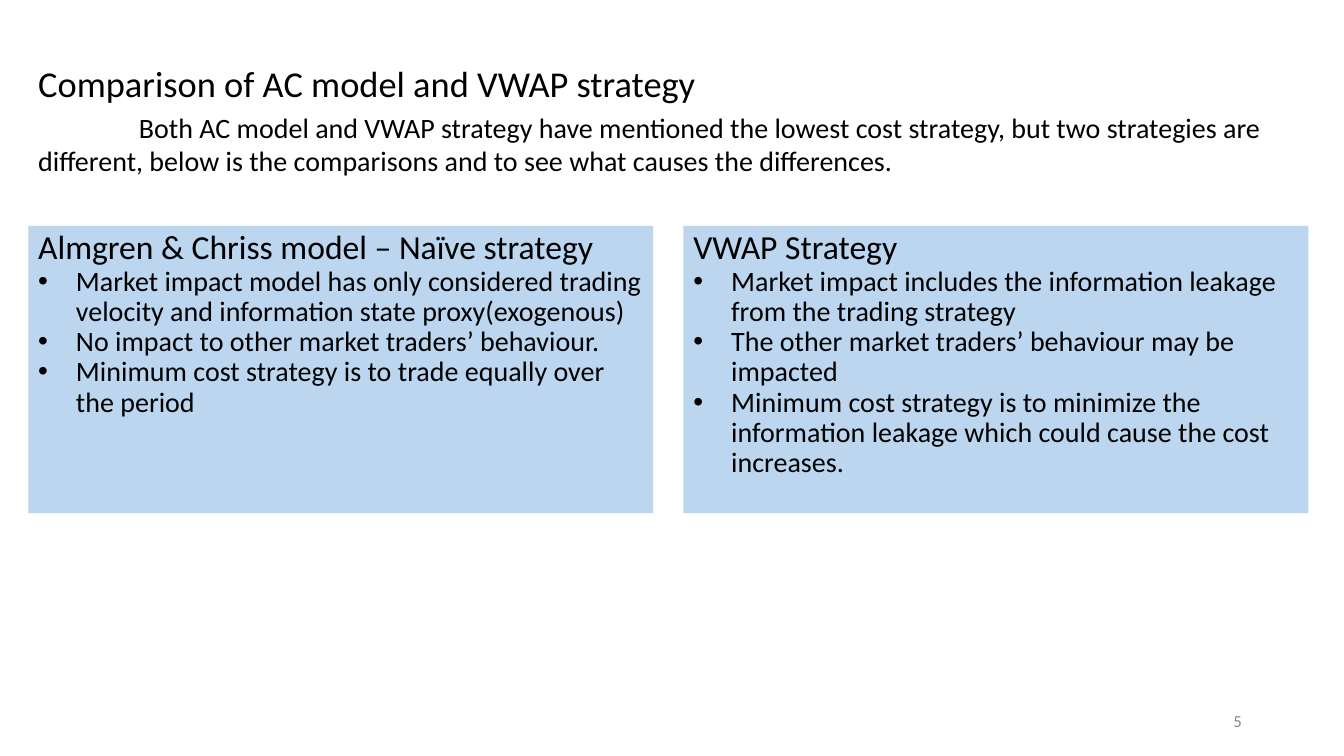
"""Build the slide comparing the AC model with the VWAP strategy."""
from dataclasses import dataclass

from lxml.etree import SubElement
from pptx import Presentation
from pptx.dml.color import RGBColor
from pptx.enum.shapes import MSO_SHAPE
from pptx.enum.text import MSO_ANCHOR, PP_ALIGN
from pptx.oxml.ns import qn
from pptx.util import Pt

BLACK = RGBColor(0x00, 0x00, 0x00)
GREY = RGBColor(0x88, 0x88, 0x88)
PALE_BLUE = RGBColor(0xBB, 0xD6, 0xEE)
FONT = "Calibri"
MARGIN = 20.2
PANEL_TOP, PANEL_WIDTH, PANEL_HEIGHT, PANEL_GAP = 161.3, 446.4, 205.2, 21.6
BULLET_INDENT = 27


@dataclass(frozen=True)
class Panel:
    heading: str
    points: tuple[str, ...]


PANELS = (
    Panel("Almgren & Chriss model – Naïve strategy", (
        "Market impact model has only considered trading velocity and information state proxy(exogenous)",
        "No impact to other market traders’ behaviour.",
        "Minimum cost strategy is to trade equally over the period",
    )),
    Panel("VWAP Strategy", (
        "Market impact includes the information leakage from the trading strategy",
        "The other market traders’ behaviour may be impacted",
        "Minimum cost strategy is to minimize the information leakage which could cause the cost increases.",
    )),
)


def write(paragraph, text: str, size: float, color: RGBColor = BLACK, spacing: float = 0.9) -> None:
    paragraph.line_spacing = spacing
    run = paragraph.add_run()
    run.text = text
    run.font.name = FONT
    run.font.size = Pt(size)
    run.font.color.rgb = color


def indent(paragraph, left: float, first_line: float) -> None:
    properties = paragraph._p.get_or_add_pPr()
    properties.set("marL", str(Pt(left)))
    properties.set("indent", str(Pt(first_line)))


def add_bullet(paragraph) -> None:
    indent(paragraph, BULLET_INDENT, -BULLET_INDENT)
    properties = paragraph._p.get_or_add_pPr()
    SubElement(properties, qn("a:buFont"), typeface="Arial")
    SubElement(properties, qn("a:buChar"), char="•")


def add_text_frame(slide, left: float, top: float, width: float, height: float):
    text_box = slide.shapes.add_textbox(Pt(left), Pt(top), Pt(width), Pt(height))
    text_box.text_frame.word_wrap = True
    return text_box.text_frame


def add_panel(slide, panel: Panel, left: float) -> None:
    shape = slide.shapes.add_shape(
        MSO_SHAPE.RECTANGLE, Pt(left), Pt(PANEL_TOP), Pt(PANEL_WIDTH), Pt(PANEL_HEIGHT))
    shape.shadow.inherit = False
    shape.fill.solid()
    shape.fill.fore_color.rgb = PALE_BLUE
    shape.line.fill.background()
    frame = shape.text_frame
    frame.word_wrap = True
    frame.vertical_anchor = MSO_ANCHOR.TOP
    heading = frame.paragraphs[0]
    heading.alignment = PP_ALIGN.LEFT
    write(heading, panel.heading, 24)
    for point in panel.points:
        paragraph = frame.add_paragraph()
        paragraph.alignment = PP_ALIGN.LEFT
        add_bullet(paragraph)
        write(paragraph, point, 20)


def add_introduction(slide) -> None:
    frame = add_text_frame(slide, MARGIN, 43.9, 902.9, 36.7)
    write(frame.paragraphs[0], "Comparison of AC model and VWAP strategy", 26)
    paragraph = frame.add_paragraph()
    indent(paragraph, 0, 72)
    paragraph.space_before = Pt(5)
    write(paragraph, "Both AC model and VWAP strategy have mentioned the lowest cost strategy, "
          "but two strategies are different, below is the comparisons and to see what "
          "causes the differences.", 20, spacing=0.97)


def add_page_number(slide) -> None:
    frame = add_text_frame(slide, 678.2, 500.4, 216, 28.8)
    frame.vertical_anchor = MSO_ANCHOR.MIDDLE
    paragraph = frame.paragraphs[0]
    paragraph.alignment = PP_ALIGN.RIGHT
    write(paragraph, "5", 12, GREY, 1.0)


def main() -> None:
    presentation = Presentation()
    presentation.slide_width, presentation.slide_height = Pt(960), Pt(540)
    slide = presentation.slides.add_slide(presentation.slide_layouts[6])
    add_introduction(slide)
    for index, panel in enumerate(PANELS):
        add_panel(slide, panel, MARGIN + index * (PANEL_WIDTH + PANEL_GAP))
    add_page_number(slide)
    presentation.save("out.pptx")


if __name__ == "__main__":
    main()
